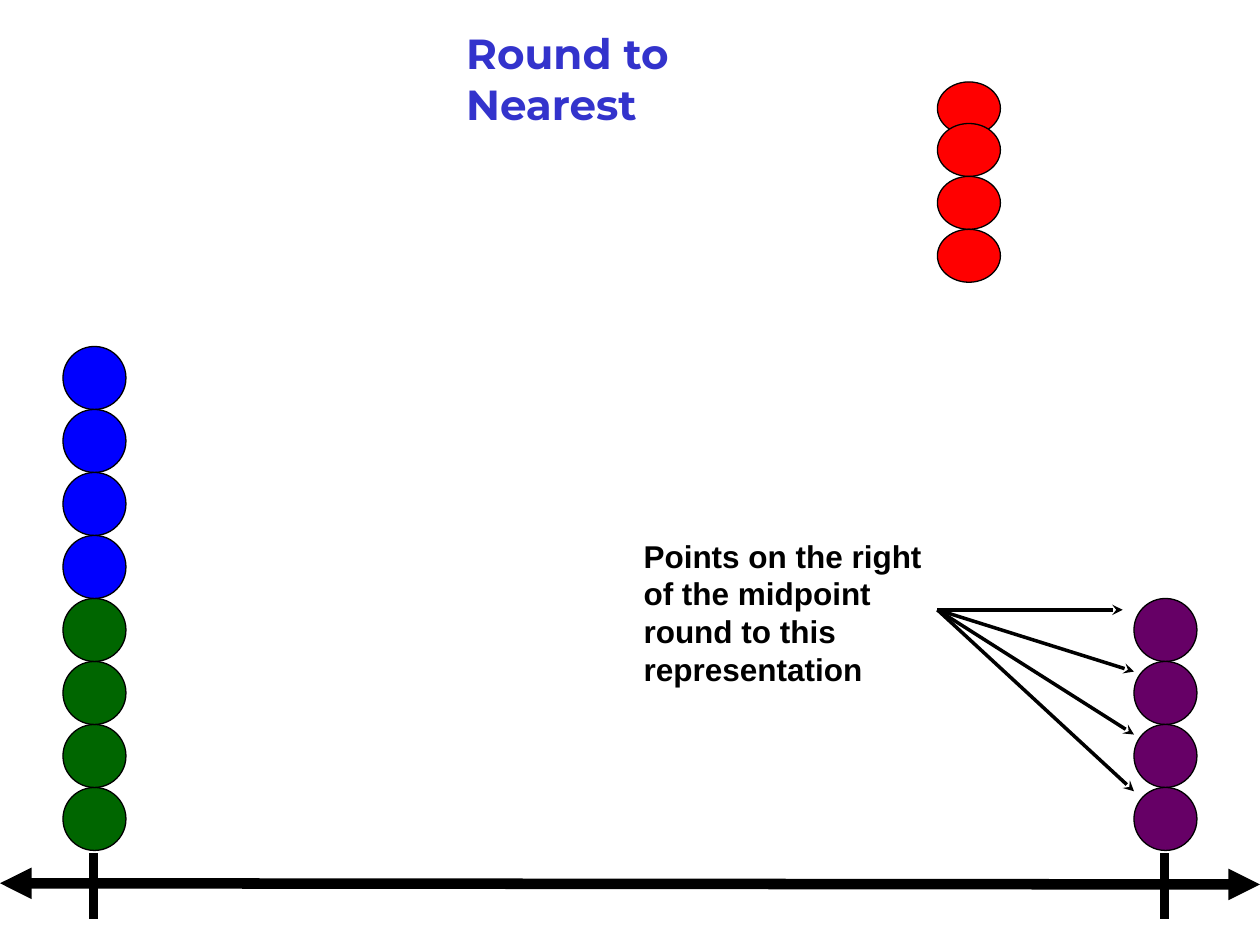
from lxml import etree
from pptx import Presentation
from pptx.dml.color import RGBColor
from pptx.enum.shapes import MSO_CONNECTOR, MSO_SHAPE
from pptx.enum.text import MSO_ANCHOR, PP_ALIGN
from pptx.oxml.ns import qn
from pptx.util import Pt

PX = 9144  # 100 px to the inch
OVAL = MSO_SHAPE.OVAL
LINE = MSO_CONNECTOR.STRAIGHT
LEFT = PP_ALIGN.LEFT
TOP = MSO_ANCHOR.TOP
COLORS = {
    "ink": "000000",
    "title": "3333CC",
    "green": "006600",
    "purple": "660066",
    "blue": "0000FF",
    "red": "FF0000",
}


def color(name):
    return RGBColor.from_string(COLORS[name])


def place(shape, x, y, w, h):
    shape.left, shape.top, shape.width, shape.height = (
        v * PX for v in (x, y, w, h))


def write(shape, text, size=18, font="Arial", ink="ink", bold=True):
    frame = shape.text_frame
    frame.word_wrap = True
    frame.vertical_anchor = TOP
    para = frame.paragraphs[0]
    para.alignment = LEFT
    para.line_spacing = 1.0
    para.space_before = Pt(0)
    run = para.add_run()
    run.text = text
    run.font.size = Pt(size)
    run.font.name = font
    run.font.bold = bold
    run.font.color.rgb = color(ink)


def add_dots(shapes, x, tops, fill, h=50):
    for y in tops:
        dot = shapes.add_shape(OVAL, x * PX, y * PX, 50 * PX, h * PX)
        dot.shadow.inherit = False
        dot.fill.solid()
        dot.fill.fore_color.rgb = color(fill)
        dot.line.color.rgb = color("ink")
        dot.line.width = Pt(0.75)


def add_line(shapes, start, end, width, head=None, tail=None):
    link = shapes.add_connector(LINE, *(v * PX for v in start + end))
    link.line.color.rgb = color("ink")
    link.line.width = Pt(width)
    props = link.line._get_or_add_ln()
    for tag, kind in (("a:headEnd", head), ("a:tailEnd", tail)):
        if kind:
            etree.SubElement(props, qn(tag), type=kind)
    etree.SubElement(link._element.spPr, qn("a:effectLst"))


def main():
    deck = Presentation()
    deck.slide_width, deck.slide_height = 1000 * PX, 750 * PX
    slide = deck.slides.add_slide(deck.slide_layouts[5])
    shapes = slide.shapes

    # Stacks of points
    add_dots(shapes, 50, range(625, 474, -50), "green")
    add_dots(shapes, 900, range(475, 626, 50), "purple")
    group = shapes.add_group_shape().shapes
    add_dots(group, 50, range(275, 426, 50), "blue")
    add_dots(shapes, 744, (65, 98, 140, 182), "red", h=42)

    # Number line with its two representations
    axis = shapes.add_group_shape().shapes
    add_line(axis, (0, 701), (1000, 702), 6, "triangle", "triangle")
    for x in (74, 924):
        add_line(axis, (x, 729), (x, 677), 5)

    # Note and its arrows
    note = shapes.add_textbox(501 * PX, 421 * PX, 243 * PX, 130 * PX)
    write(note, "Points on the right of the midpoint round to this "
                "representation")
    for end in ((900, 628), (900, 583), (900, 533), (891, 484)):
        add_line(shapes, (744, 484), end, 2, tail="stealth")

    # Title
    title = shapes.title
    place(title, 360, 17, 313, 50)
    write(title, "Round to Nearest", size=24, font="Montserrat", ink="title")

    deck.save("out.pptx")


if __name__ == "__main__":
    main()
